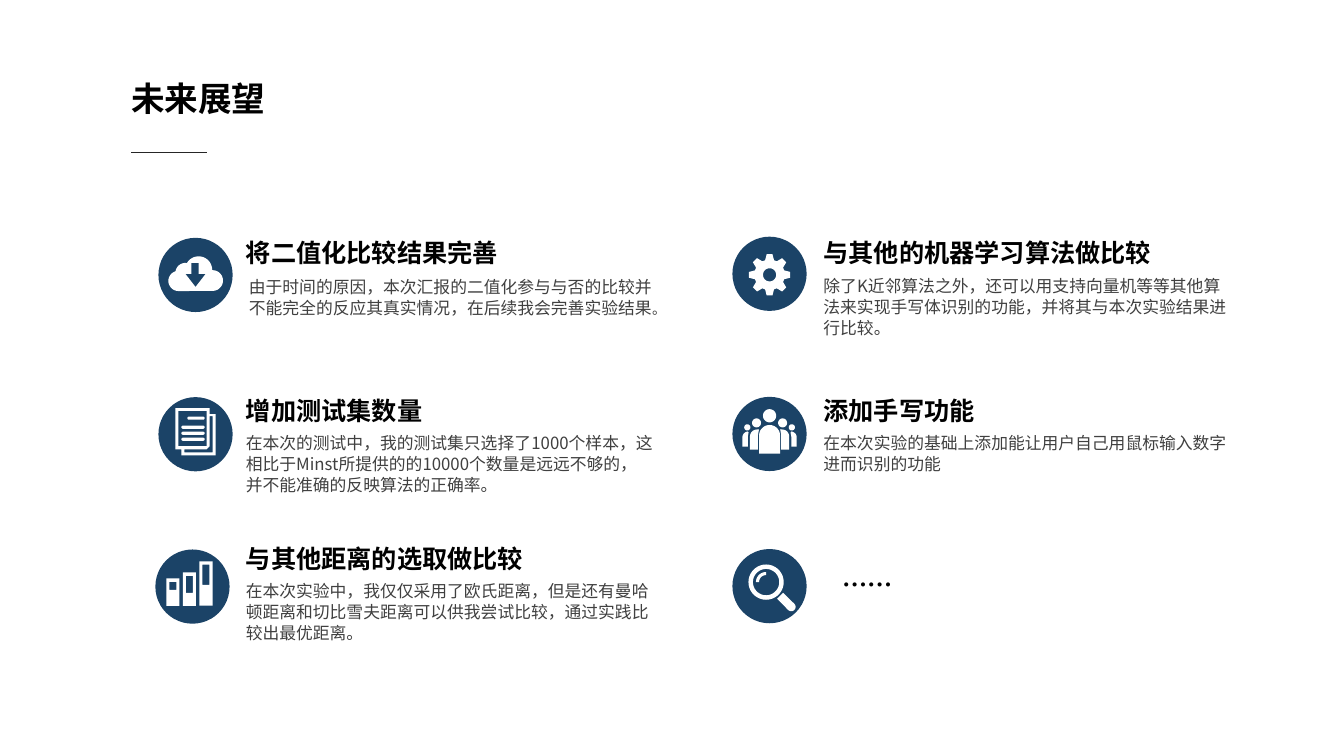
from math import cos, radians, sin

from lxml.etree import SubElement
from pptx import Presentation
from pptx.dml.color import RGBColor
from pptx.enum.shapes import MSO_CONNECTOR as CONN, MSO_SHAPE as SHAPE
from pptx.enum.text import MSO_AUTO_SIZE as AUTO
from pptx.oxml.ns import qn
from pptx.util import Pt

FONT = "Noto Sans CJK SC"
NAVY = RGBColor(0x1B, 0x43, 0x67)
WHITE = RGBColor(0xFF, 0xFF, 0xFF)
BLACK = RGBColor(0x00, 0x00, 0x00)
GREY = RGBColor(0x40, 0x40, 0x40)
RULE = RGBColor(0x26, 0x26, 0x26)

TITLE = "未来展望"
HEADINGS = [
    ("将二值化比较结果完善", 170.6, 167, 192.5),
    ("增加测试集数量", 170.6, 280, 198),
    ("与其他距离的选取做比较", 170.6, 385.2, 217.5),
    ("与其他的机器学习算法做比较", 583.2, 167, 249.5),
    ("添加手写功能", 583.2, 280, 165.6),
    ("……", 596.9, 403.9, 165.6),
]
BODIES = [
    (["由于时间的原因，本次汇报的二值化参与与否的比较并不能完全的反应其真实情况，在后续我会完善实验结果", "。"],
     172.8, 194.4, 2),
    (["在本次的测试中，我的测试集只选择了1000个样本，这相比于Minst所提供的的10000个数量是远远不够的，并不能准确的反映算法的正确率。"],
     170.6, 306, 3),
    (["在本次实验中，我仅仅采用了欧氏距离，但是还有曼哈顿距离和切比雪夫距离可以供我尝试比较，通过实践比较出最优距离。"],
     170.6, 411.8, 3),
    (["除了K近邻算法之外，还可以用支持向量机等等其他算法来实现手写体识别的功能，并将其与本次实验结果进行比较。"],
     583.2, 193.7, 3),
    (["在本次实验的基础上添加能让用户自己用鼠标输入数字进而识别的功能"], 583.2, 306, 2),
]
BADGE = 53


def arc(cx, cy, r, start=0, end=360):
    steps = max(6, int(abs(end - start) / 10))
    angles = [radians(start + (end - start) * i / steps) for i in range(steps + 1)]
    return [(cx + r * cos(a), cy + r * sin(a)) for a in angles]


def box(x, y, w, h):
    return [(x, y), (x + w, y), (x + w, y + h), (x, y + h)]


def pill(x, y, w, h):
    r = h / 2
    return arc(x + r, y + r, r, 90, 270) + arc(x + w - r, y + r, r, -90, 90)


def mirror(outline):
    return [(-x, y) for x, y in outline]


def cloud():
    outline = (arc(12.2, 4, 7.4, 90, -90) + arc(2.2, -3.6, 9.7, 0, -150)
               + arc(-7.2, -1.4, 7.2, -90, -170) + arc(-12.2, 4.3, 7.2, -110, -270))
    arrow = [(0, 8.6), (-7.2, -0.7), (-2.9, -0.7), (-2.9, -8.6),
             (2.2, -8.6), (2.2, -0.7), (7.2, -0.7)]
    return [[outline, arrow]]


def documents():
    outline = [(-14.4, -18.7), (10.1, -18.7), (10.1, -14.4), (14.4, -14.4),
               (14.4, 15.1), (-10.1, 15.1), (-10.1, 10.8), (-14.4, 10.8)]
    front = box(-12.2, -16.6, 20.1, 25.2)
    back = [(12.2, 13), (-7.9, 13), (-7.9, 10.8), (7.9, 10.8),
            (10.1, 8.6), (10.1, -13), (12.2, -13)]
    lines = [(-5.8, -12.6), (-10.1, -6.1), (-10.1, -1.8), (-10.1, 2.5)]
    return [[outline, front, back]] + [[pill(x, y, 6.5 - x, 2.2)] for x, y in lines]


def bars():
    bottom, parts = 13.7, []
    for i, (top, window) in enumerate([(-5.8, 5.8), (-10.1, 12.2), (-18, 14.4)]):
        x = -18.7 + 11.8 * i
        parts.append([box(x, top, 9.4, bottom - top), box(x + 2.2, top + 2.4, 5, window)])
    return parts


def gear():
    corners = [(-17, 10.9), (-8, 14.9), (8, 14.9), (17, 10.9)]
    teeth = [(r * cos(radians(45 * i + a)), 0.7 + r * sin(radians(45 * i + a)))
             for i in range(8) for a, r in corners]
    return [[teeth, arc(0, 0.7, 4.7)]]


def people():
    leader = arc(0, 1.1, 7.5, -180, 0) + [(7.5, 14), (-7.5, 14)]
    side = [arc(9.3, -7.9, 3.2), arc(15.9, -4.7, 2.2),
            [(8.3, 11.2), (8.3, 1), (7.6, -3.2)] + arc(9, 1.8, 5, -90, 0) + [(14, 11.2)],
            [(15.5, 9), (15.5, 1.8), (15, -1)] + arc(15.1, 2.5, 4.3, -85, 0) + [(19.4, 9)]]
    return [[arc(0, -13, 4.7), leader] + side + [mirror(o) for o in side]]


def magnifier():
    cx, cy = -2.5, -2.9
    handle = [(9.7, 4.7), (5.4, 9)] + arc(15.5, 14.8, 3.1, 135, -45)
    glint = arc(cx, cy, 7.2, 180, 270) + arc(cx, cy, 5, 270, 180)
    return [[handle], [arc(cx, cy, 12.6), arc(cx, cy, 9.4)], [glint]]


BADGES = [
    (139.7, 196.4, cloud()),
    (139.7, 310.2, documents()),
    (137.5, 419, bars()),
    (549.7, 195.6, gear()),
    (549.7, 310, people()),
    (549.7, 418.7, magnifier()),
]


def paint(sp, color):
    sp.shadow.inherit = False
    sp.fill.solid()
    sp.fill.fore_color.rgb = color
    sp.line.fill.background()


def add_badge(shapes, cx, cy, parts):
    disc = shapes.add_shape(SHAPE.OVAL, Pt(cx - BADGE / 2), Pt(cy - BADGE / 2), Pt(BADGE), Pt(BADGE))
    paint(disc, NAVY)
    for outlines in parts:
        fb = None
        for outline in outlines:
            pts = [(Pt(cx + x), Pt(cy + y)) for x, y in outline]
            if fb is None:
                fb = shapes.build_freeform(*pts[0])
            else:
                fb.move_to(*pts[0])
            fb.add_line_segments(pts[1:], close=True)
        paint(fb.convert_to_shape(), WHITE)


def add_text(shapes, texts, x, y, w, h, size, color, bold=False, spacing=None):
    tf = shapes.add_textbox(Pt(x), Pt(y), Pt(w), Pt(h)).text_frame
    tf.word_wrap = True
    tf.auto_size = AUTO.SHAPE_TO_FIT_TEXT
    tf.margin_left = tf.margin_right = Pt(5)
    tf.margin_top = tf.margin_bottom = Pt(2.6)
    p = tf.paragraphs[0]
    if spacing:
        p.line_spacing = Pt(spacing)
    p.font.size, p.font.bold, p.font.name = Pt(size), bold, FONT
    p.font.color.rgb = color
    SubElement(p._p.pPr.find(qn("a:defRPr")), qn("a:ea")).set("typeface", FONT)
    for text in texts:
        r = p.add_run()
        r.text = text
    if len(texts) > 1:
        r.font.size = Pt(10)


def main():
    prs = Presentation()
    prs.slide_width, prs.slide_height = Pt(960), Pt(540)
    shapes = prs.slides.add_slide(prs.slide_layouts[6]).shapes

    add_text(shapes, [TITLE], 88.6, 53.3, 331, 34.6, 24, BLACK, bold=True)
    rule = shapes.add_connector(CONN.STRAIGHT, Pt(93.6), Pt(108.9), Pt(147.6), Pt(108.9))
    rule.line.color.rgb = RULE
    rule.line.width = Pt(0.75)
    SubElement(rule._element.spPr, qn("a:effectLst"))

    for cx, cy, parts in BADGES:
        add_badge(shapes, cx, cy, parts)
    for text, x, y, w in HEADINGS:
        add_text(shapes, [text], x, y, w, 27.4, 18, BLACK, bold=True)
    for texts, x, y, lines in BODIES:
        add_text(shapes, texts, x, y, 301, 15 * lines + 5, 12, GREY, spacing=15)
    prs.save("out.pptx")


if __name__ == "__main__":
    main()
